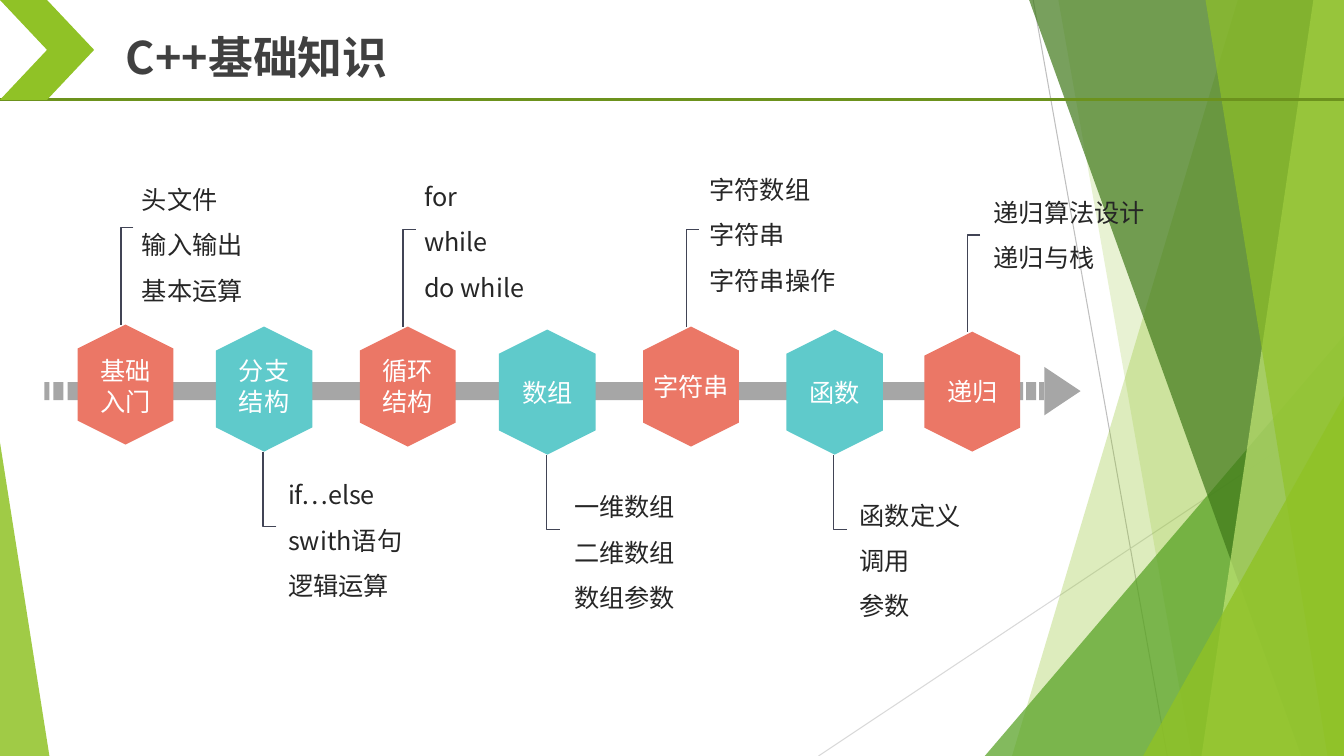
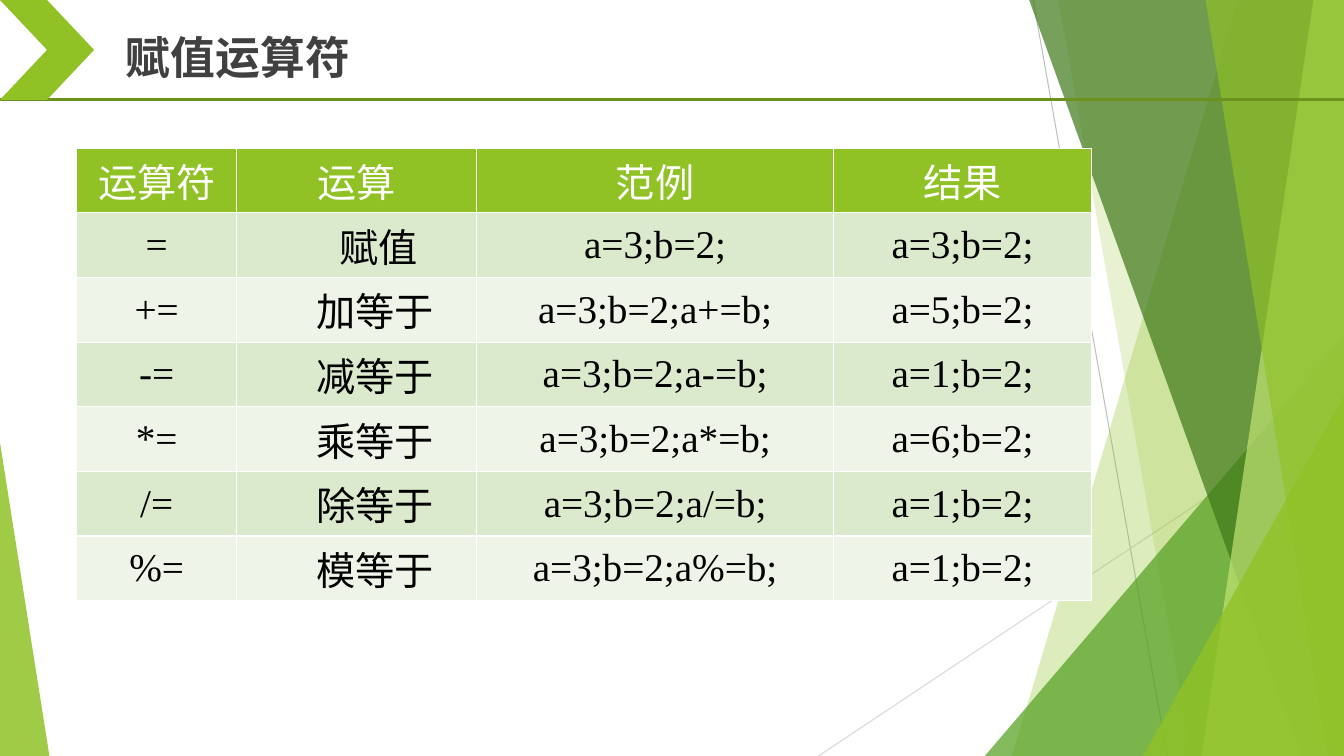
from dataclasses import dataclass

import lxml.etree
import pptx
import pptx.dml.color
import pptx.enum.shapes
import pptx.enum.text
import pptx.oxml.ns
import pptx.slide
import pptx.util

RGB = pptx.dml.color.RGBColor
FORM = pptx.enum.shapes.MSO_SHAPE
WIRE = pptx.enum.shapes.MSO_CONNECTOR
ALIGN = pptx.enum.text.PP_ALIGN
FIT = pptx.enum.text.MSO_AUTO_SIZE
ANCHOR = pptx.enum.text.MSO_ANCHOR
qn = pptx.oxml.ns.qn

# Grid: 160 columns by 90 rows of square cells
COLS, ROWS = 160, 90
CELL = pptx.util.Inches(7.5) // ROWS

# Colours
LIME = RGB(0x90, 0xC2, 0x26)
LEAF = RGB(0x54, 0xA0, 0x21)
PINE = RGB(0x3F, 0x78, 0x19)
PALE = RGB(0xC0, 0xE4, 0x74)
OLIVE = RGB(0x6C, 0x92, 0x1D)
SILVER = RGB(0xBF, 0xBF, 0xBF)
MIST = RGB(0xD9, 0xD9, 0xD9)
GREY = RGB(0xA6, 0xA6, 0xA6)
SLATE = RGB(0x41, 0x44, 0x55)
CORAL = RGB(0xEB, 0x77, 0x66)
TEAL = RGB(0x5F, 0xCA, 0xCB)
WHITE = RGB(0xFF, 0xFF, 0xFF)
BLACK = RGB(0, 0, 0)
DARK = RGB(0x40, 0x40, 0x40)
INK = RGB(0x26, 0x26, 0x26)
BANDS = (RGB(0xDB, 0xE9, 0xCD), RGB(0xEE, 0xF4, 0xE8))

SANS = "Noto Sans CJK SC"
SERIF = "Times New Roman"


@dataclass(frozen=True)
class Shard:
    """Full-height panel running to the right edge."""
    top: float
    foot: float
    tint: RGB
    alpha: int


@dataclass(frozen=True)
class Wedge:
    """Triangle whose tip sits at a share of its width."""
    x: float
    y: float
    wide: float
    high: float
    tip: float
    tint: RGB
    alpha: int


@dataclass(frozen=True)
class Kind:
    """Look of one sort of step: hexagon size and bent line."""
    tint: RGB
    long: float
    short: float
    shift: float
    base: float
    rise: float
    run: float


@dataclass(frozen=True)
class Step:
    x: float
    y: float
    label: tuple[str, ...]
    note_x: float
    note_y: float
    notes: tuple[str, ...]


DECOR = (
    Shard(147.36, 120.48, LIME, 30),
    Shard(126, 141.84, LIME, 20),
    Wedge(117.24, 39.96, 42.76, 50.04, 1, LEAF, 72),
    Shard(122.52, 154.92, PINE, 70),
    Shard(156.36, 143.04, PALE, 70),
    Shard(143.52, 158.04, LIME, 65),
    Wedge(136.08, 47.16, 23.92, 42.84, 1, LIME, 80),
    Wedge(0, 52.68, 5.88, 37.32, 0, LIME, 85),
)

UPPER = Kind(CORAL, 14.28, 11.4, -0.54, -7.14, -11.52, 1.5)
LOWER = Kind(TEAL, 14.88, 11.52, -0.12, 7.44, 8.9, 1.6)
STEPS = (
    Step(14.94, 45.78, ("基础入门",), 15.72, 19.56, ("头文件", "输入输出", "基本运算")),
    Step(31.44, 46.32, ("分支", "结构"), 33.12, 54.72, ("if…else", "swith语句", "逻辑运算")),
    Step(48.54, 46.02, ("循环结构",), 49.32, 19.2, ("for", "while", "do while")),
    Step(65.16, 46.68, ("数组",), 67.2, 56.16, ("一维数组", "二维数组", "数组参数")),
    Step(82.26, 46.02, ("字符串",), 83.28, 18.36, ("字符数组", "字符串", "字符串操作")),
    Step(99.36, 46.68, ("函数",), 101.16, 57.12, ("函数定义", "调用", "参数")),
    Step(115.74, 46.62, ("递归",), 117.12, 21.12, ("递归算法设计", "递归与栈")),
)
BARS = ((5.28, 0.6), (6.36, 1.2), (8.04, 2.28), (10.8, 108.24),
        (119.52, 2.28), (122.16, 1.2), (123.72, 0.6))

WIDTHS = (19.08, 28.56, 42.48, 30.72)
HEAD = ("运算符", "运算", "范例", "结果")
BODY = (
    ("=", "赋值", "a=3;b=2;", "a=3;b=2;"),
    ("+=", "加等于", "a=3;b=2;a+=b;", "a=5;b=2;"),
    ("-=", "减等于", "a=3;b=2;a-=b;", "a=1;b=2;"),
    ("*=", "乘等于", "a=3;b=2;a*=b;", "a=6;b=2;"),
    ("/=", "除等于", "a=3;b=2;a/=b;", "a=1;b=2;"),
    ("%=", "模等于", "a=3;b=2;a%=b;", "a=1;b=2;"),
)


def span(*cells: float) -> list[int]:
    """Turn grid cells into lengths."""
    return [round(cell * CELL) for cell in cells]


# Basic parts
def paint(shape, tint: RGB, alpha: int = 100) -> None:
    shape.shadow.inherit = False
    shape.fill.solid()
    shape.fill.fore_color.rgb = tint
    shape.line.fill.background()
    if alpha < 100:
        node = shape._element.spPr.find(".//" + qn("a:srgbClr"))
        lxml.etree.SubElement(node, qn("a:alpha"), val=str(alpha * 1000))


def block(slide: pptx.slide.Slide, form: FORM, x: float, y: float,
          wide: float, high: float, tint: RGB, alpha: int = 100):
    shape = slide.shapes.add_shape(form, *span(x, y, wide, high))
    paint(shape, tint, alpha)
    return shape


def wire(slide: pptx.slide.Slide, start: tuple[float, float],
         end: tuple[float, float], tint: RGB, size: float, bent: bool = False) -> None:
    kind = WIRE.ELBOW if bent else WIRE.STRAIGHT
    line = slide.shapes.add_connector(kind, *span(*start, *end))
    line.line.color.rgb = tint
    line.line.width = pptx.util.Pt(size)
    props = line._element.spPr
    lxml.etree.SubElement(props, qn("a:effectLst"))
    if bent:
        props.find(qn("a:prstGeom")).set("prst", "bentConnector2")


def write(para, text: str, size: float, tint: RGB,
          face: str = SANS, bold: bool = False) -> None:
    run = para.add_run()
    run.text = text
    run.font.size = pptx.util.Pt(size)
    run.font.bold = bold
    run.font.color.rgb = tint
    run.font.name = face
    lxml.etree.SubElement(run._r.get_or_add_rPr(), qn("a:ea"), typeface=SANS)


def words(slide: pptx.slide.Slide, x: float, y: float, wide: float, high: float,
          lines: tuple[str, ...], tint: RGB, align: ALIGN, space: float = 1) -> None:
    frame = slide.shapes.add_textbox(*span(x, y, wide, high)).text_frame
    frame.word_wrap = True
    for i, text in enumerate(lines):
        para = frame.add_paragraph() if i else frame.paragraphs[0]
        para.alignment = align
        para.line_spacing = space
        write(para, text, 18, tint)


# Shared backdrop and title
def shard(slide: pptx.slide.Slide, item: Shard) -> None:
    pen = slide.shapes.build_freeform(*span(item.top, 0))
    spots = ((COLS, 0), (COLS, ROWS), (item.foot, ROWS))
    pen.add_line_segments([span(*spot) for spot in spots], close=True)
    paint(pen.convert_to_shape(), item.tint, item.alpha)


def wedge(slide: pptx.slide.Slide, item: Wedge) -> None:
    shape = block(slide, FORM.ISOSCELES_TRIANGLE, item.x, item.y,
                  item.wide, item.high, item.tint, item.alpha)
    shape.adjustments[0] = item.tip


def start(deck, text: str) -> pptx.slide.Slide:
    slide = deck.slides.add_slide(deck.slide_layouts[5])
    wire(slide, (123, 0), (138.96, ROWS), SILVER, 0.75)
    wire(slide, (COLS, 48.36), (97.44, ROWS), MIST, 0.75)
    for item in DECOR:
        if isinstance(item, Shard):
            shard(slide, item)
        else:
            wedge(slide, item)
    wire(slide, (0, 11.88), (COLS, 11.88), OLIVE, 2.25)
    block(slide, FORM.CHEVRON, 0, 0, 11.2, 11.88, LIME)

    title = slide.shapes.title
    title.left, title.top, title.width, title.height = span(13.8, 2.88, 51.96, 7.68)
    frame = title.text_frame
    frame.word_wrap = True
    frame.auto_size = FIT.SHAPE_TO_FIT_TEXT
    frame.vertical_anchor = ANCHOR.TOP
    para = frame.paragraphs[0]
    para.alignment = ALIGN.LEFT
    write(para, text, 32, DARK, bold=True)
    return slide


# Timeline
def draw(slide: pptx.slide.Slide, step: Step, kind: Kind) -> None:
    bend = step.x + kind.shift
    base = step.y + kind.base
    tip = base + kind.rise
    wire(slide, (bend + kind.run, tip), (bend, base), SLATE, 1, bent=True)

    hexa = block(slide, FORM.HEXAGON, step.x - kind.long / 2, step.y - kind.short / 2,
                 kind.long, kind.short, kind.tint)
    hexa.rotation = 90

    # Four signs break into two lines in the narrow box
    two = len("".join(step.label)) == 4
    wide, high = (11.28, 8.52) if two else (14.28, 4.8)
    mid = 46.02 if two else step.y
    words(slide, step.x - wide / 2, mid - high / 2, wide, high,
          step.label, WHITE, ALIGN.CENTER)
    words(slide, step.note_x, step.note_y, 25.2, 17.52,
          step.notes, INK, ALIGN.JUSTIFY, 1.5)


def basics(deck) -> None:
    slide = start(deck, "C++基础知识")
    for x, wide in BARS:
        block(slide, FORM.RECTANGLE, x, 45.48, wide, 2.16, GREY)
    head = block(slide, FORM.ISOSCELES_TRIANGLE, 123.6, 44.4, 5.76, 4.32, GREY)
    head.rotation = 90
    for i, step in enumerate(STEPS):
        draw(slide, step, LOWER if i % 2 else UPPER)


# Table
def cell_fill(cell, tint: RGB) -> None:
    props = cell._tc.get_or_add_tcPr()
    for side in ("a:lnL", "a:lnR", "a:lnT", "a:lnB"):
        edge = lxml.etree.SubElement(props, qn(side), w=str(pptx.util.Pt(1)))
        fill = lxml.etree.SubElement(edge, qn("a:solidFill"))
        lxml.etree.SubElement(fill, qn("a:srgbClr"), val=str(WHITE))
    cell.fill.solid()
    cell.fill.fore_color.rgb = tint


def signs(deck) -> None:
    slide = start(deck, "赋值运算符")
    rows = (HEAD, *BODY)
    place = span(9.12, 17.64, sum(WIDTHS), 7.7 * len(rows))
    table = slide.shapes.add_table(len(rows), len(HEAD), *place).table
    for col, wide in zip(table.columns, span(*WIDTHS)):
        col.width = wide
    for r, row in enumerate(rows):
        for c, text in enumerate(row):
            cell = table.cell(r, c)
            cell_fill(cell, BANDS[(r - 1) % 2] if r else LIME)
            cell.vertical_anchor = ANCHOR.MIDDLE
            cell.margin_left = cell.margin_right = pptx.util.Inches(0.07)
            cell.margin_top = cell.margin_bottom = 0
            para = cell.text_frame.paragraphs[0]
            para.alignment = ALIGN.CENTER
            if r and c == 1:
                dent = pptx.util.Inches(0.44 if r == 1 else 0.36)
                para._p.get_or_add_pPr().set("indent", str(dent))
            write(para, text, 28, BLACK if r else WHITE, SERIF)


def main() -> None:
    deck = pptx.Presentation()
    deck.slide_width, deck.slide_height = span(COLS, ROWS)
    basics(deck)
    signs(deck)
    deck.save("out.pptx")


if __name__ == "__main__":
    main()
